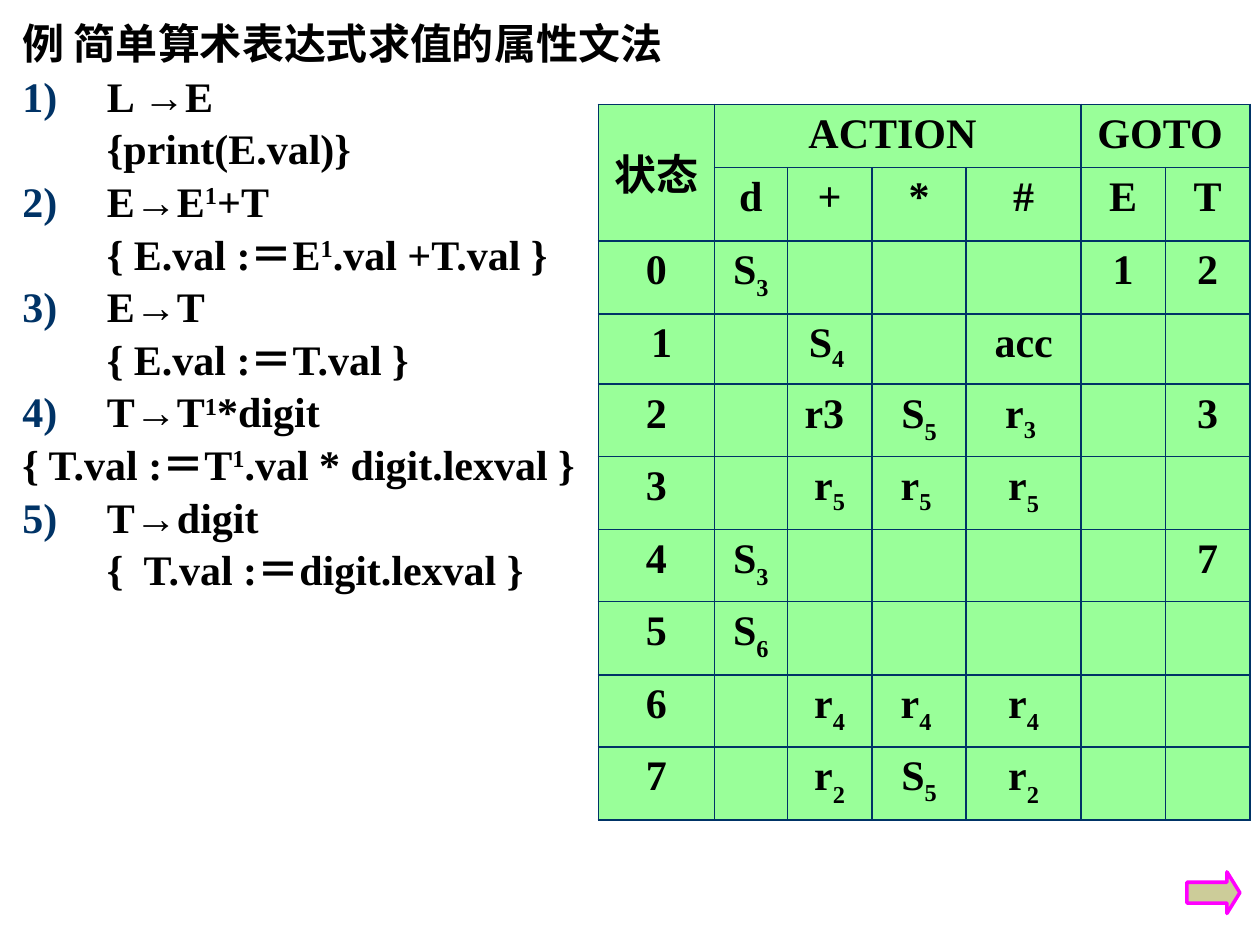
"""Build a slide with an attribute grammar and its LR parsing table."""
from dataclasses import dataclass

from lxml.etree import SubElement
from pptx import Presentation
from pptx.dml.color import RGBColor
from pptx.enum.shapes import MSO_SHAPE
from pptx.enum.text import MSO_ANCHOR, PP_ALIGN
from pptx.oxml.ns import qn
from pptx.util import Inches, Pt


@dataclass(frozen=True)
class Theme:
    font: str = "Times New Roman"
    size: float = 24
    text: str = "000000"
    navy: str = "003366"
    cell: str = "99FF99"
    arrow: str = "CCCC99"
    arrow_line: str = "FF00FF"
    border_width: float = 1.08


THEME = Theme()
SLIDE_WIDTH, SLIDE_HEIGHT = 10, 7.5
HANGING = 0.67
SHIFTS = {"^": 30000, "_": -30000, "~": -25000}

TITLE = "例 简单算术表达式求值的属性文法"
RULES = [
    ("L →E", "{print(E.val)}", True),
    ("E→E|^1|+T", "{ E.val :＝E|^1|.val +T.val }", True),
    ("E→T", "{ E.val :＝T.val }", True),
    ("T→T|^1|*digit", "{ T.val :＝T|^1|.val * digit.lexval }", False),
    ("T→digit", "{  T.val :＝digit.lexval }", True),
]
PARSING_TABLE = [
    ["状态", "ACTION ", "", "", "", "GOTO ", ""],
    ["", "d", "+", "*", "#", "E", "T"],
    ["0", "S|_3", "", "", "", "1", "2"],
    [" 1", "", "S|~4 ", "", "acc", "", ""],
    ["2", "", "r3 ", "S|_5", "r|~3 ", "", "3"],
    ["3", "", "r|~5", "r|~5 ", "r|_5", "", ""],
    ["4", "S|_3", "", "", "", "", "7"],
    ["5", "S|_6", "", "", "", "", ""],
    ["6", "", "r|_4", "r|_4 ", "r|_4", "", ""],
    ["7", "", "r|_2", "S|~5", "r|_2", "", ""],
]
MERGES = [((0, 0), (1, 0)), ((0, 1), (0, 4)), ((0, 5), (0, 6))]
COLUMN_WIDTHS = [0.92, 0.58, 0.67, 0.75, 0.91, 0.67, 0.67]
ROW_HEIGHTS = [0.5, 0.58, 0.58, 0.56] + [0.57, 0.58] * 3


def color(value):
    return RGBColor.from_string(value)


def write(paragraph, text, align=PP_ALIGN.LEFT, left=0, first=0, before=0, line=None, number=None):
    paragraph.alignment = align
    properties = paragraph._p.get_or_add_pPr()
    properties.set("marL", str(Inches(left)))
    properties.set("indent", str(Inches(first)))
    paragraph.space_before = Pt(before)
    if line:
        paragraph.line_spacing = line
    if number:
        bullet_color = SubElement(properties, qn("a:buClr"))
        SubElement(bullet_color, qn("a:srgbClr"), val=THEME.navy)
        SubElement(properties, qn("a:buFont"), typeface=THEME.font)
        SubElement(properties, qn("a:buAutoNum"), type="arabicParenR", startAt=str(number))
    else:
        SubElement(properties, qn("a:buNone"))
    paragraph.font.size = Pt(THEME.size)
    for piece in text.split("|"):
        shift = SHIFTS.get(piece[:1])
        run = paragraph.add_run()
        run.text = piece[1:] if shift else piece
        font = run.font
        font.name, font.size, font.bold = THEME.font, Pt(THEME.size), True
        font.color.rgb = color(THEME.text)
        if shift:
            font._element.set("baseline", str(shift))


def add_grammar(slide):
    box = slide.shapes.add_textbox(Inches(0.08), Inches(0.17), Inches(5.58), Inches(4.67))
    frame = box.text_frame
    frame.word_wrap = True
    hanging = {"left": HANGING, "first": -HANGING, "line": 0.8}
    write(frame.paragraphs[0], TITLE, **hanging)
    for number, (production, action, indented) in enumerate(RULES, 1):
        write(frame.add_paragraph(), production, before=7, number=number, **hanging)
        layout = {**hanging, "first": 0 if indented else -HANGING}
        write(frame.add_paragraph(), action, before=7, **layout)


def add_borders(cell):
    properties = cell._tc.get_or_add_tcPr()
    for index, side in enumerate(("lnL", "lnR", "lnT", "lnB")):
        border = SubElement(properties, qn(f"a:{side}"), w=str(Pt(THEME.border_width)))
        fill = SubElement(border, qn("a:solidFill"))
        SubElement(fill, qn("a:srgbClr"), val=THEME.navy)
        properties.insert(index, border)


def add_parsing_table(slide):
    shape = slide.shapes.add_table(
        len(ROW_HEIGHTS), len(COLUMN_WIDTHS), Inches(4.75), Inches(0.83),
        Inches(sum(COLUMN_WIDTHS)), Inches(sum(ROW_HEIGHTS)))
    table = shape.table
    table.first_row = table.horz_banding = False
    for column, width in zip(table.columns, COLUMN_WIDTHS):
        column.width = Inches(width)
    for row, height in zip(table.rows, ROW_HEIGHTS):
        row.height = Inches(height)
    for start, end in MERGES:
        table.cell(*start).merge(table.cell(*end))
    for row_index, values in enumerate(PARSING_TABLE):
        for column_index, text in enumerate(values):
            cell = table.cell(row_index, column_index)
            cell.fill.solid()
            cell.fill.fore_color.rgb = color(THEME.cell)
            add_borders(cell)
            if text:
                write(cell.text_frame.paragraphs[0], text, align=PP_ALIGN.CENTER)
    table.cell(0, 0).vertical_anchor = MSO_ANCHOR.MIDDLE


def add_next_arrow(slide):
    arrow = slide.shapes.add_shape(
        MSO_SHAPE.RIGHT_ARROW, Inches(9.42), Inches(6.92), Inches(0.42), Inches(0.33))
    arrow.adjustments[0], arrow.adjustments[1] = 0.5, 0.31
    arrow.shadow.inherit = False
    arrow.fill.solid()
    arrow.fill.fore_color.rgb = color(THEME.arrow)
    arrow.line.color.rgb = color(THEME.arrow_line)
    arrow.line.width = Pt(2)


def main():
    presentation = Presentation()
    presentation.slide_width = Inches(SLIDE_WIDTH)
    presentation.slide_height = Inches(SLIDE_HEIGHT)
    slide = presentation.slides.add_slide(presentation.slide_layouts[6])
    add_grammar(slide)
    add_parsing_table(slide)
    add_next_arrow(slide)
    presentation.save("out.pptx")


if __name__ == "__main__":
    main()
